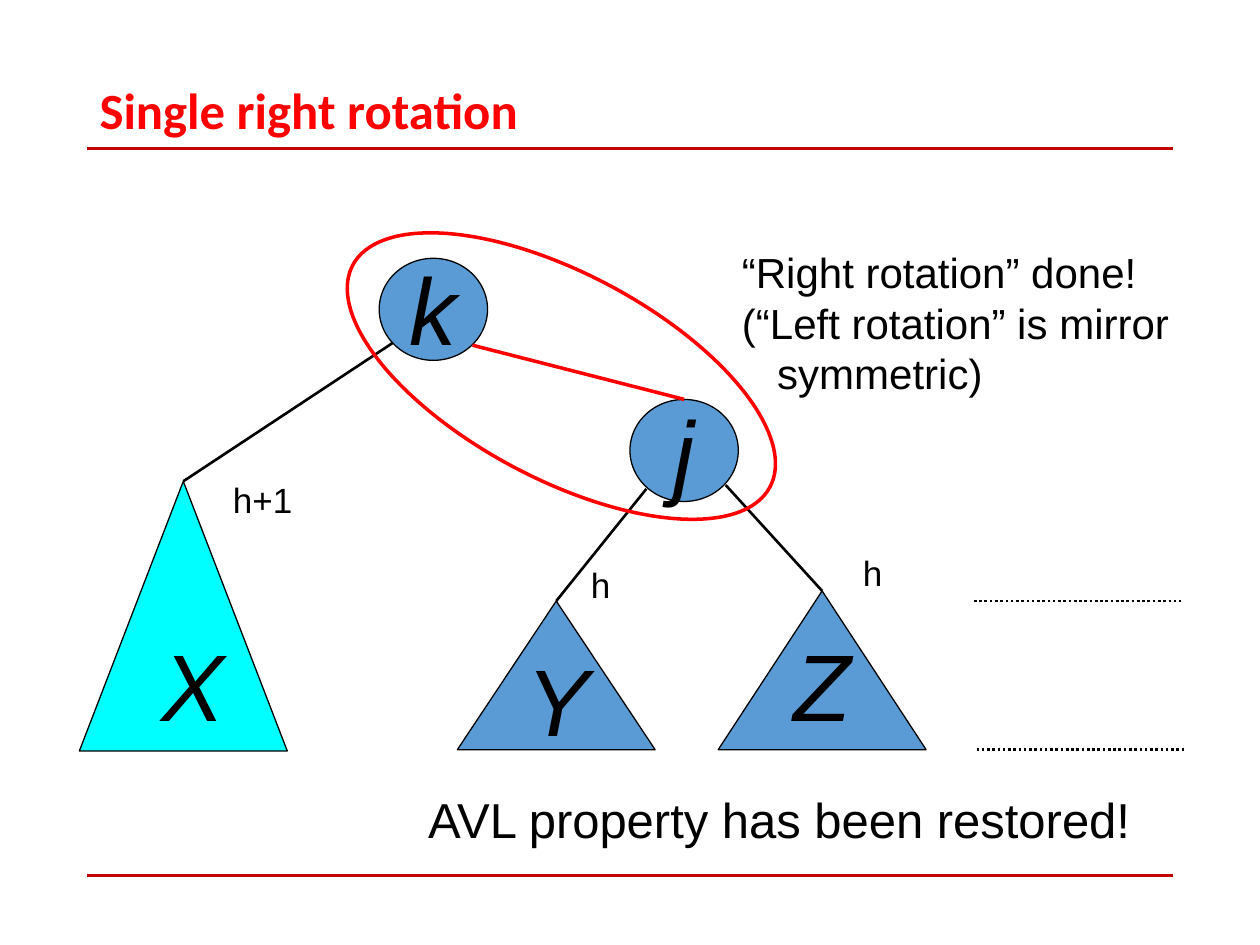
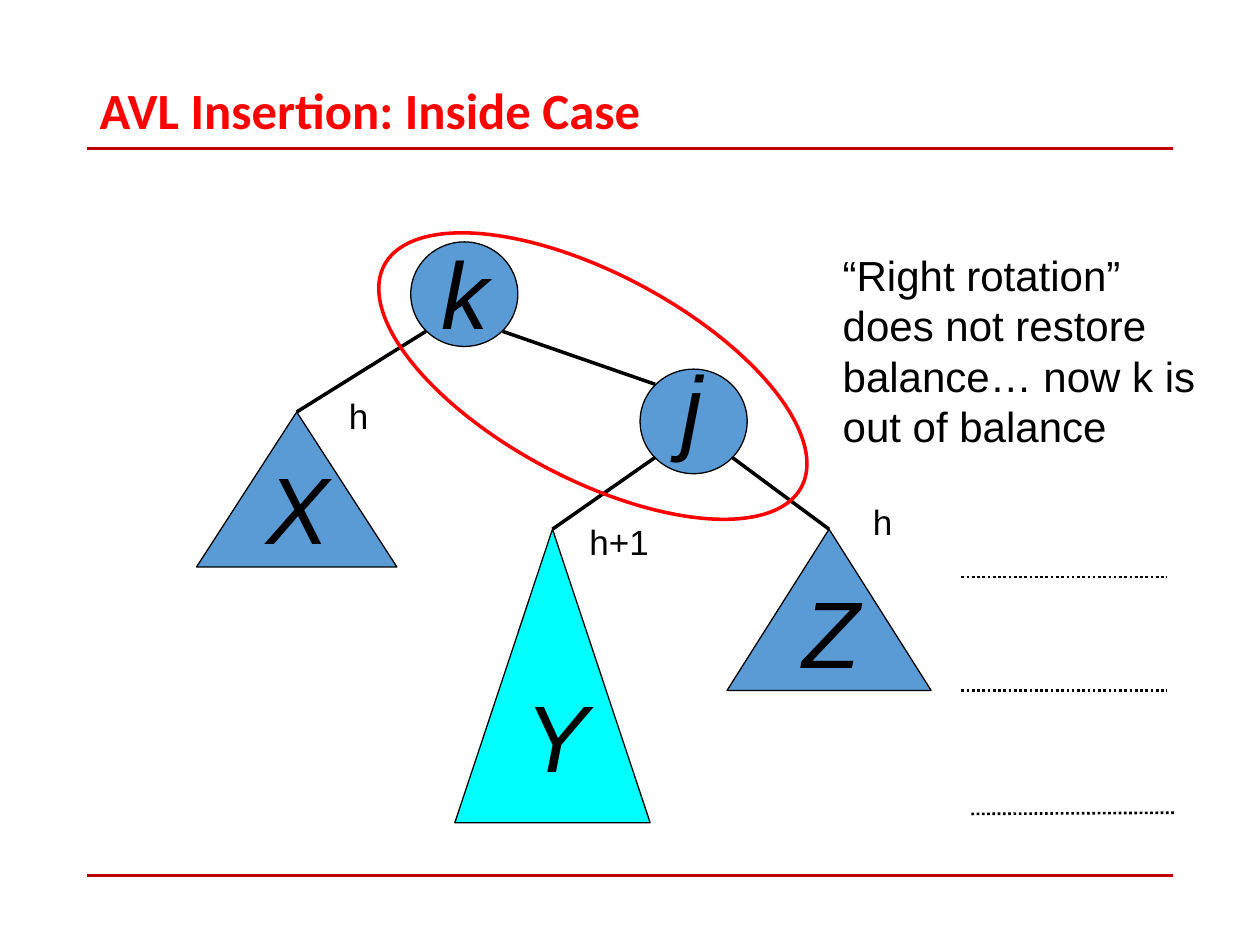
from dataclasses import dataclass

from lxml import etree
from pptx import Presentation
from pptx.dml.color import RGBColor
from pptx.enum.dml import MSO_LINE
from pptx.enum.shapes import MSO_CONNECTOR, MSO_SHAPE
from pptx.enum.text import MSO_ANCHOR, MSO_AUTO_SIZE, PP_ALIGN
from pptx.oxml.ns import qn
from pptx.util import Inches, Pt

STRAIGHT = MSO_CONNECTOR.STRAIGHT
ELLIPSE = MSO_SHAPE.OVAL
TRIANGLE = MSO_SHAPE.ISOSCELES_TRIANGLE
DOTTED = MSO_LINE.ROUND_DOT
MIDDLE = MSO_ANCHOR.MIDDLE
NO_FIT = MSO_AUTO_SIZE.NONE
LEFT, CENTER = PP_ALIGN.LEFT, PP_ALIGN.CENTER
TITLE_ONLY = 5


@dataclass(frozen=True)
class Theme:
    ink: RGBColor = RGBColor(0x00, 0x00, 0x00)
    accent: RGBColor = RGBColor(0xFF, 0x00, 0x00)
    rule: RGBColor = RGBColor(0xC0, 0x00, 0x00)
    node: RGBColor = RGBColor(0x5B, 0x9B, 0xD5)
    tall: RGBColor = RGBColor(0x00, 0xFF, 0xFF)
    title_font: str = "Calibri"
    body_font: str = "Arial"
    title_size: int = 29
    letter_size: int = 54
    summary_size: int = 28
    note_size: int = 24
    height_size: int = 20
    outline: float = 0.75
    thin: float = 1.5
    thick: float = 2


class TreeDeck:
    """Holds the theme and the slide being drawn."""

    def __init__(self, theme):
        self.theme = theme
        self.deck = Presentation()
        self.deck.slide_width = Inches(10)
        self.deck.slide_height = Inches(7.5)
        self.slide = None

    def start_slide(self, title):
        """Add a slide with its title and the two shared rules."""
        theme = self.theme
        self.slide = self.deck.slides.add_slide(self.deck.slide_layouts[TITLE_ONLY])
        for y in (1.18, 6.95):
            self.line((0.69, y), (9.31, y), color=theme.rule)
        box = self.slide.shapes.title
        box.left, box.top = Inches(0.69), Inches(0.61)
        box.width, box.height = Inches(8.63), Inches(0.58)
        frame = box.text_frame
        frame.auto_size = NO_FIT
        frame.vertical_anchor = MIDDLE
        para = frame.paragraphs[0]
        para.alignment = LEFT
        para.line_spacing = 0.9
        self.span(para, title, theme.title_size, theme.title_font,
                  theme.accent, bold=True)

    def span(self, para, words, size, font=None, color=None, bold=False, italic=False):
        span = para.add_run()
        span.text = words
        span.font.size = Pt(size)
        span.font.name = font or self.theme.body_font
        span.font.color.rgb = color or self.theme.ink
        span.font.bold = bold
        span.font.italic = italic

    def text(self, left, top, width, height, lines, size, wrap=False,
             italic=False, last_indent=0):
        """Add a text box with one paragraph per line."""
        box = self.slide.shapes.add_textbox(
            Inches(left), Inches(top), Inches(width), Inches(height))
        frame = box.text_frame
        frame.word_wrap = wrap
        for index, words in enumerate(lines):
            para = frame.add_paragraph() if index else frame.paragraphs[0]
            para.alignment = LEFT
            self.span(para, words, size, italic=italic)
        if last_indent:
            properties = para._p.get_or_add_pPr()
            properties.set("marL", str(Inches(last_indent)))
            properties.set("indent", "0")

    def letter(self, left, top, name):
        self.text(left, top, 0.53, 1, [name], self.theme.letter_size,
                  wrap=True, italic=True)

    def height_label(self, left, top, words):
        width = 0.67 if len(words) > 1 else 0.35
        self.text(left, top, width, 0.44, [words], self.theme.height_size)

    def line(self, start, end, color=None, width=None, dotted=False):
        line = self.slide.shapes.add_connector(
            STRAIGHT, *(Inches(value) for value in (*start, *end)))
        line.line.color.rgb = color or self.theme.ink
        line.line.width = Pt(width or self.theme.thin)
        if dotted:
            line.line.dash_style = DOTTED
        etree.SubElement(line._element.spPr, qn("a:effectLst"))

    def shape(self, kind, left, top, width, height, fill=None, color=None, weight=None):
        shape = self.slide.shapes.add_shape(
            kind, Inches(left), Inches(top), Inches(width), Inches(height))
        shape.shadow.inherit = False
        if fill is None:
            shape.fill.background()
        else:
            shape.fill.solid()
            shape.fill.fore_color.rgb = fill
        shape.line.color.rgb = color or self.theme.ink
        shape.line.width = Pt(weight or self.theme.outline)
        return shape

    def node(self, left, top, width, height, name=None):
        """Add a tree node, with a centred name if one is given."""
        shape = self.shape(ELLIPSE, left, top, width, height, self.theme.node)
        if name:
            frame = shape.text_frame
            frame.word_wrap = False
            frame.vertical_anchor = MIDDLE
            para = frame.paragraphs[0]
            para.alignment = CENTER
            self.span(para, name, self.theme.letter_size, italic=True)

    def subtree(self, left, top, width, height, name, name_at, parent,
                edge_width, tall=False):
        """Add a triangle, its name and the edge from its parent to its apex."""
        fill = self.theme.tall if tall else self.theme.node
        self.shape(TRIANGLE, left, top, width, height, fill)
        self.letter(*name_at, name)
        self.line(parent, (left + width / 2, top), width=edge_width)

    def rotation_ring(self, left):
        ring = self.shape(ELLIPSE, left, 2.17, 3.75, 1.63,
                          color=self.theme.accent, weight=self.theme.thick)
        ring.rotation = 28


def draw_restored_tree(page):
    theme = page.theme
    page.start_slide("Single right rotation")

    # Rotated nodes
    page.node(5, 3.17, 0.86, 0.81, "j")
    page.node(3.01, 2.05, 0.86, 0.81)
    page.letter(3.15, 1.94, "k")

    # Subtrees
    page.subtree(0.63, 3.82, 1.65, 2.14, "X", (1.18, 4.93), (3.12, 2.72),
                 theme.thin, tall=True)
    page.subtree(3.63, 4.77, 1.57, 1.18, "Y", (4.08, 5.05), (5.13, 3.88), theme.thin)
    page.subtree(5.7, 4.69, 1.65, 1.26, "Z", (6.2, 4.93), (5.76, 3.85), theme.thin)

    # Level markers
    page.line((7.73, 4.77), (9.37, 4.77), dotted=True)
    page.line((7.75, 5.95), (9.4, 5.95), dotted=True)

    # Remarks
    page.text(5.79, 1.91, 3.59, 1.3,
              ["“Right rotation” done!", "(“Left rotation” is mirror", "symmetric)"],
              theme.note_size, last_indent=0.28)
    page.text(3.3, 6.22, 5.81, 0.57, ["AVL property has been restored!"],
              theme.summary_size)

    # Rotation and subtree heights
    page.line((3.75, 2.74), (5.43, 3.17), theme.accent, theme.thick)
    page.rotation_ring(2.58)
    page.height_label(6.75, 4.33, "h")
    page.height_label(1.75, 3.75, "h+1")
    page.height_label(4.59, 4.42, "h")


def draw_inside_case(page):
    theme = page.theme
    page.start_slide("AVL Insertion: Inside Case")

    # Rotated nodes
    page.node(5.08, 2.93, 0.85, 0.83)
    page.letter(5.31, 2.72, "j")
    page.node(3.26, 1.92, 0.85, 0.83)
    page.letter(3.41, 1.82, "k")
    page.line((3.99, 2.63), (5.2, 3.05), width=theme.thick)

    # Subtrees
    page.subtree(1.56, 3.27, 1.59, 1.23, "X", (2.02, 3.52), (3.38, 2.63), theme.thick)
    page.subtree(3.61, 4.2, 1.55, 2.33, "Y", (4.07, 5.33), (5.2, 3.63),
                 theme.thick, tall=True)
    page.subtree(5.77, 4.2, 1.62, 1.28, "Z", (6.27, 4.51), (5.81, 3.63), theme.thick)

    # Level markers
    for y in (4.58, 5.48):
        page.line((7.63, y), (9.26, y), dotted=True)
    page.line((7.71, 6.46), (9.33, 6.45), dotted=True)

    # Remark, rotation and subtree heights
    page.text(6.59, 1.93, 3, 1.7,
              ["“Right rotation”", "does not restore", "balance… now k is",
               "out of balance"], theme.note_size)
    page.rotation_ring(2.83)
    page.height_label(6.83, 3.92, "h")
    page.height_label(4.58, 4.08, "h+1")
    page.height_label(2.67, 3.08, "h")


def main():
    page = TreeDeck(Theme())
    draw_restored_tree(page)
    draw_inside_case(page)
    page.deck.save("out.pptx")


if __name__ == "__main__":
    main()
